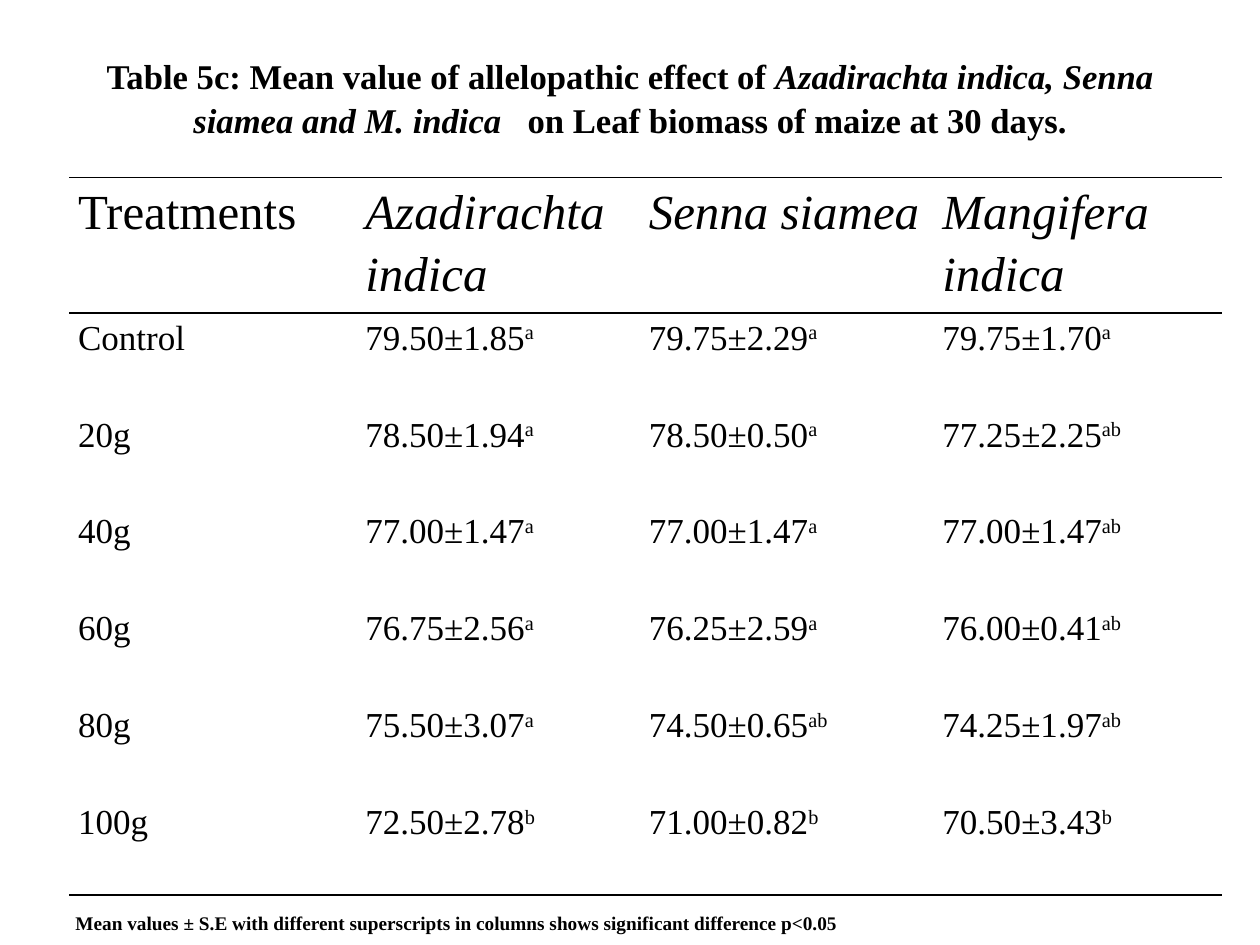
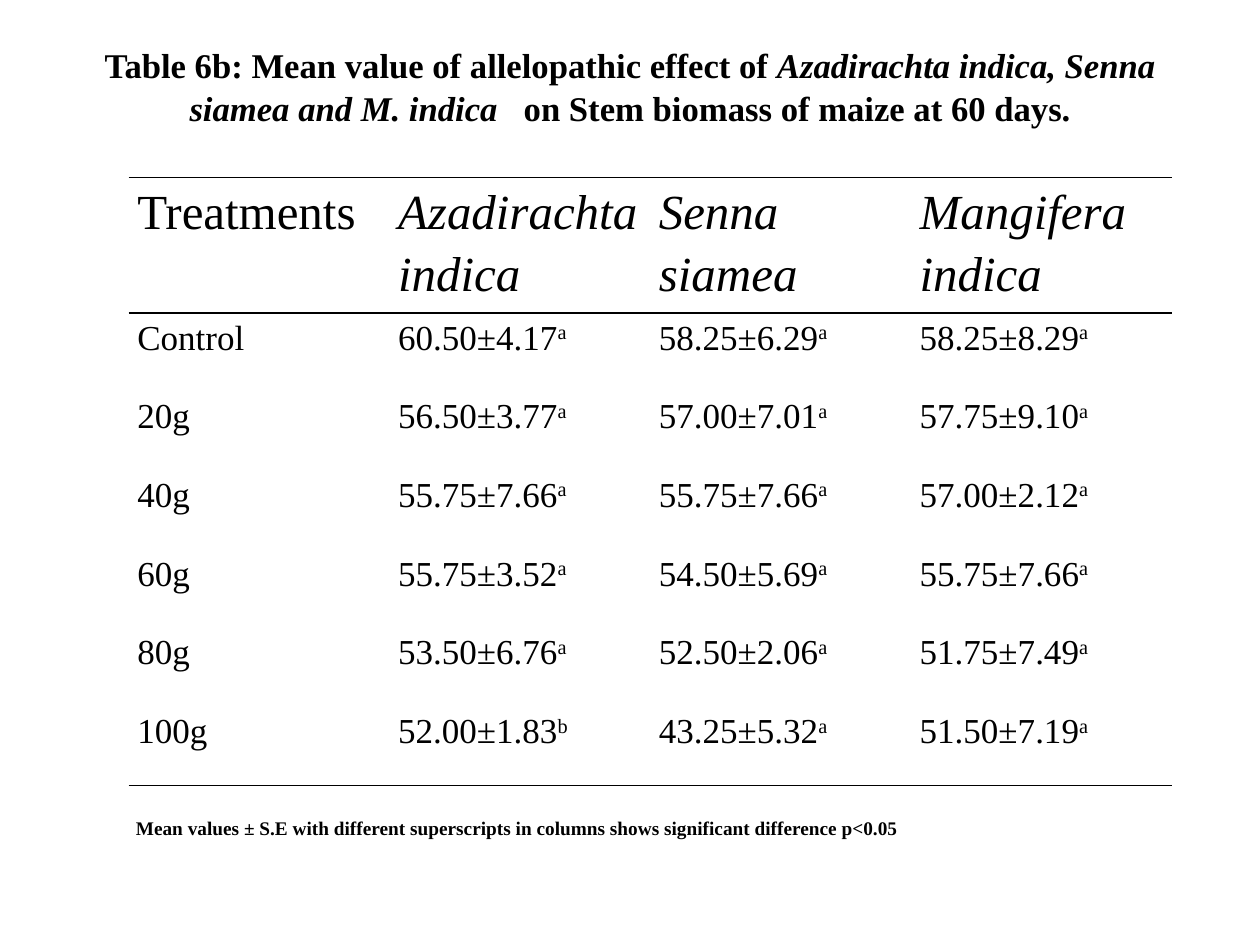
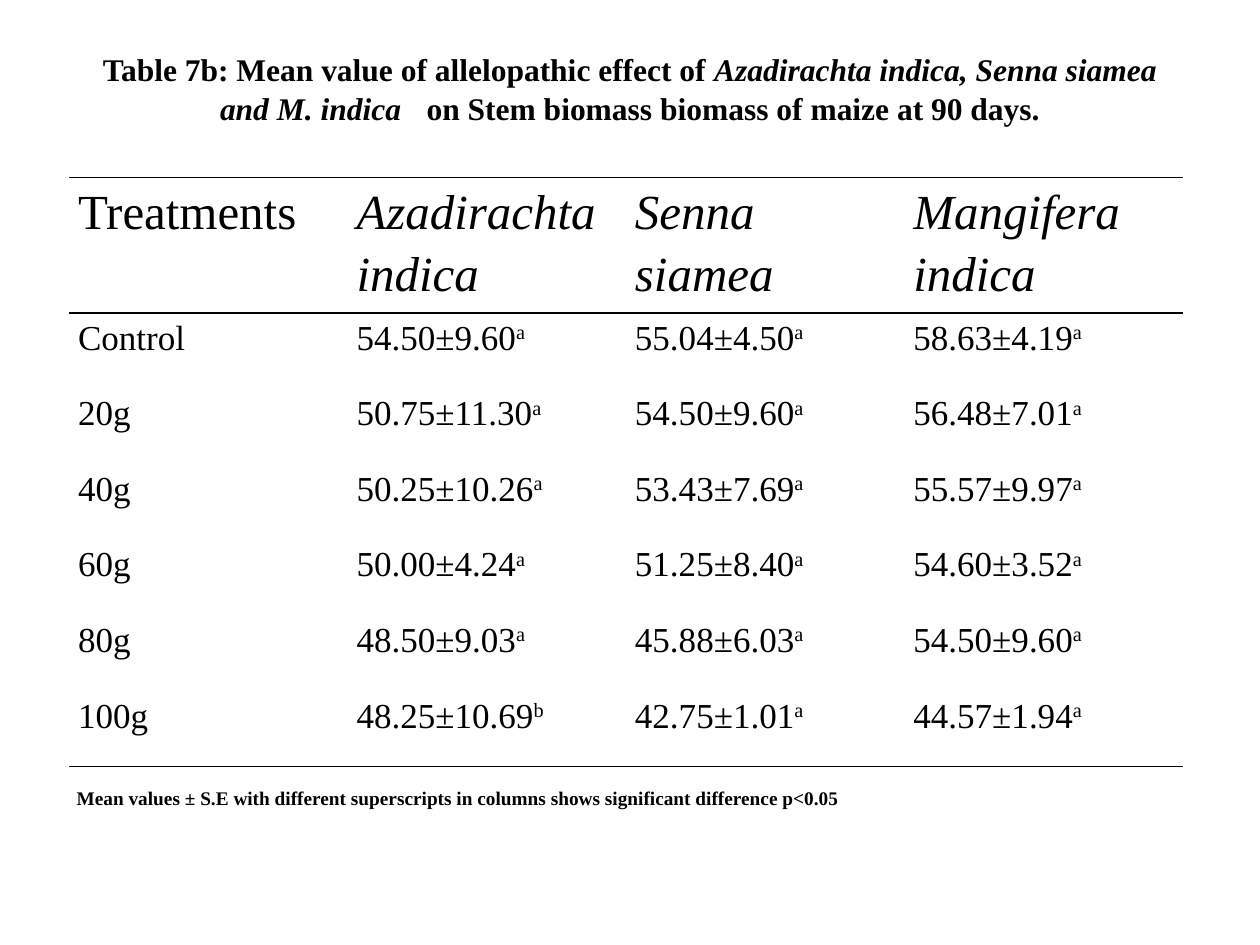
import pptx
import pptx.util
from lxml import etree
from pptx.dml.color import RGBColor
from pptx.enum.text import MSO_ANCHOR, PP_ALIGN
from pptx.oxml.ns import qn
from pptx.util import Inches, Pt

COLORS = {"ink": "000000", "paper": "FFFFFF"}
FONT = "Times New Roman"
SPECIES = "Azadirachta indica, Senna siamea and M. indica"
HEADINGS = ["Treatments", "Azadirachta indica", "Senna siamea", "Mangifera indica"]
TREATMENTS = ["Control", "20g", "40g", "60g", "80g", "100g"]
NOTE = ("Mean values ± S.E with different superscripts in columns "
        "shows significant difference p<0.05")
TABLE_TOP, HEADING_HEIGHT = 1.41, 0.99

# Each result is "mean±error superscript", one row per treatment.
STUDIES = [
    {
        "label": "Table 5c", "subject": "Leaf biomass of maize at 30 days.",
        "title_box": (0.5, 0.31, 9, 0.86), "title_inset": 0.11, "title_size": 19.8,
        "table_left": 0.55, "columns": [2.28, 2.25, 2.33, 2.29], "row_height": 0.77,
        "note_box": (0.5, 7.18, 9, 0.29),
        "results": [
            ("79.50±1.85 a", "79.75±2.29 a", "79.75±1.70 a"),
            ("78.50±1.94 a", "78.50±0.50 a", "77.25±2.25 ab"),
            ("77.00±1.47 a", "77.00±1.47 a", "77.00±1.47 ab"),
            ("76.75±2.56 a", "76.25±2.59 a", "76.00±0.41 ab"),
            ("75.50±3.07 a", "74.50±0.65 ab", "74.25±1.97 ab"),
            ("72.50±2.78 b", "71.00±0.82 b", "70.50±3.43 b"),
        ],
    },
    {
        "label": "Table 6b", "subject": "Stem biomass of maize at 60 days.",
        "title_box": (0.5, 0.3, 9, 1.03), "title_inset": 0.03, "title_size": 19.8,
        "table_left": 1.02, "columns": [2.07] * 4, "row_height": 0.625,
        "note_box": (0.98, 6.43, 7, 0.29),
        "results": [
            ("60.50±4.17 a", "58.25±6.29 a", "58.25±8.29 a"),
            ("56.50±3.77 a", "57.00±7.01 a", "57.75±9.10 a"),
            ("55.75±7.66 a", "55.75±7.66 a", "57.00±2.12 a"),
            ("55.75±3.52 a", "54.50±5.69 a", "55.75±7.66 a"),
            ("53.50±6.76 a", "52.50±2.06 a", "51.75±7.49 a"),
            ("52.00±1.83 b", "43.25±5.32 a", "51.50±7.19 a"),
        ],
    },
    {
        "label": "Table 7b", "subject": "Stem biomass biomass of maize at 90 days.",
        "title_box": (0.5, 0.3, 9, 1.03), "title_inset": 0.08, "title_size": 18,
        "table_left": 0.55, "columns": [2.21] * 4, "row_height": 0.6,
        "note_box": (0.51, 6.19, 7.32, 0.29),
        "results": [
            ("54.50±9.60 a", "55.04±4.50 a", "58.63±4.19 a"),
            ("50.75±11.30 a", "54.50±9.60 a", "56.48±7.01 a"),
            ("50.25±10.26 a", "53.43±7.69 a", "55.57±9.97 a"),
            ("50.00±4.24 a", "51.25±8.40 a", "54.60±3.52 a"),
            ("48.50±9.03 a", "45.88±6.03 a", "54.50±9.60 a"),
            ("48.25±10.69 b", "42.75±1.01 a", "44.57±1.94 a"),
        ],
    },
]


def add_run(paragraph, text, size, **formats):
    run = paragraph.add_run()
    run.text = text
    for name, value in {"name": FONT, "size": Pt(size), **formats}.items():
        setattr(run.font, name, value)
    run.font.color.rgb = RGBColor.from_string(COLORS["ink"])
    return run


def add_text_frame(slide, box):
    frame = slide.shapes.add_textbox(*map(Inches, box)).text_frame
    frame.word_wrap = True
    return frame


def add_title(slide, study):
    frame = add_text_frame(slide, study["title_box"])
    frame.vertical_anchor = MSO_ANCHOR.TOP
    frame.margin_top = Inches(study["title_inset"])
    title = frame.paragraphs[0]
    title.alignment = PP_ALIGN.CENTER
    title.line_spacing = 1.05
    size = study["title_size"]
    add_run(title, f"{study['label']}: Mean value of allelopathic effect of ", size, bold=True)
    add_run(title, SPECIES, size, bold=True, italic=True)
    gap = add_run(title, " ", size, bold=True)
    gap.font._element.set("spc", "1000")
    add_run(title, f"on {study['subject']}", size, bold=True)


def rule_cell(cell, ruled_sides):
    """Draw a thin line on the ruled sides and none on the others."""
    properties = cell._tc.get_or_add_tcPr()
    for position, side in enumerate(["lnL", "lnR", "lnT", "lnB"]):
        line = etree.Element(qn(f"a:{side}"), w=str(Pt(1)))
        if side in ruled_sides:
            fill = etree.SubElement(line, qn("a:solidFill"))
            etree.SubElement(fill, qn("a:srgbClr"), val=COLORS["ink"])
        else:
            etree.SubElement(line, qn("a:noFill"))
        properties.insert(position, line)


def add_results(slide, study):
    rows = [HEADINGS] + [(dose, *means) for dose, means in zip(TREATMENTS, study["results"])]
    heights = [HEADING_HEIGHT] + [study["row_height"]] * len(TREATMENTS)
    table = slide.shapes.add_table(
        len(rows), len(HEADINGS), Inches(study["table_left"]), Inches(TABLE_TOP),
        Inches(sum(study["columns"])), Inches(sum(heights))).table
    table.first_row = table.horz_banding = False
    for column, width in zip(table.columns, study["columns"]):
        column.width = Inches(width)
    ruled_sides = {0: ("lnT", "lnB"), 1: ("lnT",), len(rows) - 1: ("lnB",)}
    margins = {"margin_left": 0.07, "margin_right": 0.07, "margin_top": 0, "margin_bottom": 0}
    for r, (row, height) in enumerate(zip(rows, heights)):
        table.rows[r].height = Inches(height)
        for c, entry in enumerate(row):
            cell = table.cell(r, c)
            cell.fill.background()
            for name, inset in margins.items():
                setattr(cell, name, Inches(inset))
            rule_cell(cell, ruled_sides.get(r, ()))
            paragraph = cell.text_frame.paragraphs[0]
            paragraph.line_spacing = 1.15
            if r == 0:
                add_run(paragraph, entry, 28, italic=c > 0)
                continue
            value, _, superscript = entry.partition(" ")
            add_run(paragraph, value, 20)
            if superscript:
                mark = add_run(paragraph, superscript, 20)
                mark.font._element.set("baseline", "30000")


def main():
    deck = pptx.Presentation()
    deck.slide_width, deck.slide_height = Inches(10), Inches(7.5)
    for study in STUDIES:
        slide = deck.slides.add_slide(deck.slide_layouts[6])
        slide.background.fill.solid()
        slide.background.fill.fore_color.rgb = RGBColor.from_string(COLORS["paper"])
        add_title(slide, study)
        add_results(slide, study)
        note = add_text_frame(slide, study["note_box"])
        add_run(note.paragraphs[0], NOTE, 11, bold=True)
    deck.save("out.pptx")


if __name__ == "__main__":
    main()
